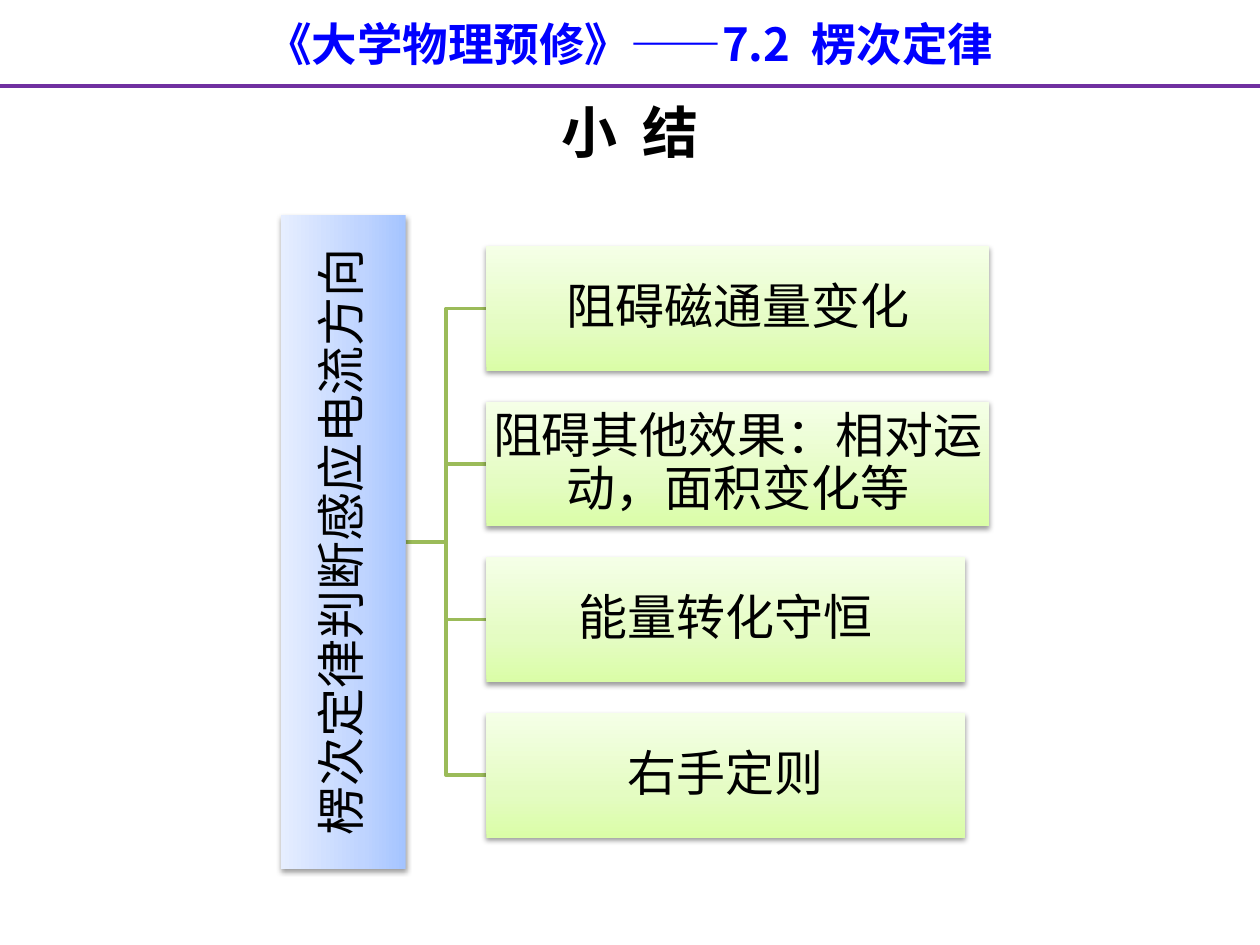
from copy import deepcopy
from dataclasses import dataclass

import pptx
import pptx.dml.color
import pptx.enum.shapes
import pptx.enum.text
import pptx.oxml.ns
import pptx.util
from lxml import etree

Inches = pptx.util.Inches
Pt = pptx.util.Pt
qn = pptx.oxml.ns.qn

FONT = "Noto Sans CJK SC"
BLUE_STOPS = ((0, "A4C4FF"), (35, "BFD4FF"), (100, "E6EEFF"))
GREEN_STOPS = ((0, "DAFDA7"), (35, "E4FCC2"), (100, "F5FFE7"))
BRANCH_COLOR = "9BBB59"

# Tree layout in inches
CENTER_Y = 4.3
NODE_HEIGHT = 0.99
NODE_PITCH = 1.235
NODE_LEFT = 3.86
TRUNK_LEFT, TRUNK_X = 3.22, 3.54
ROOT_LENGTH, ROOT_CENTER_X = 5.19, 2.725


@dataclass
class Node:
    text: str
    left: float
    center_y: float
    width: float
    stops: tuple
    rotation: float = 0


def rgb(value: str) -> pptx.dml.color.RGBColor:
    return pptx.dml.color.RGBColor.from_string(value)


def write(frame, text: str, size: float, color: str = "000000",
          bold: bool = False, margin: float | None = None, line_spacing: float = 1.0,
          anchor=pptx.enum.text.MSO_ANCHOR.MIDDLE) -> None:
    frame_format = {"word_wrap": True, "vertical_anchor": anchor}
    if margin is not None:
        sides = ("left", "top", "right", "bottom")
        frame_format.update({f"margin_{side}": Inches(margin) for side in sides})
    for name, value in frame_format.items():
        setattr(frame, name, value)

    paragraph = frame.paragraphs[0]
    paragraph.alignment = pptx.enum.text.PP_ALIGN.CENTER
    paragraph.line_spacing = line_spacing
    run = paragraph.add_run()
    run.text = text
    for name, value in {"size": Pt(size), "bold": bold, "name": FONT}.items():
        setattr(run.font, name, value)
    run.font.color.rgb = rgb(color)
    # East Asian glyphs take their own typeface element
    etree.SubElement(run.font._element, qn("a:ea"), typeface=FONT)


def add_heading(slide, text: str, left: float, top: float, width: float,
                height: float, **text_format) -> None:
    box = slide.shapes.add_textbox(Inches(left), Inches(top), Inches(width), Inches(height))
    write(box.text_frame, text, **text_format)


def fill_gradient(shape, stops: tuple) -> None:
    shape.fill.gradient()
    shape.fill.gradient_angle = 90
    stop_list = shape._element.spPr.find(".//" + qn("a:gsLst"))
    stop_list.append(deepcopy(stop_list[0]))
    for stop, (position, color) in zip(shape.fill.gradient_stops, stops):
        stop.position = position / 100
        stop.color.rgb = rgb(color)


def add_soft_shadow(shape) -> None:
    shape.shadow.inherit = False
    effects = shape._element.spPr.find(qn("a:effectLst"))
    shadow = etree.SubElement(effects, qn("a:outerShdw"), blurRad=str(Pt(3.1)),
                              dist=str(Pt(1.6)), dir="5400000", rotWithShape="0")
    color = etree.SubElement(shadow, qn("a:srgbClr"), val="000000")
    etree.SubElement(color, qn("a:alpha"), val="38000")


def add_node(slide, node: Node) -> None:
    shape = slide.shapes.add_shape(
        pptx.enum.shapes.MSO_SHAPE.RECTANGLE, Inches(node.left),
        Inches(node.center_y - NODE_HEIGHT / 2), Inches(node.width), Inches(NODE_HEIGHT))
    shape.rotation = node.rotation
    fill_gradient(shape, node.stops)
    shape.line.fill.background()
    add_soft_shadow(shape)
    write(shape.text_frame, node.text, size=28, margin=0.02, line_spacing=0.9)


def add_branch(slide, end_y: float) -> None:
    builder = slide.shapes.build_freeform(Inches(TRUNK_LEFT), Inches(CENTER_Y))
    corners = ((TRUNK_X, CENTER_Y), (TRUNK_X, end_y), (NODE_LEFT, end_y))
    builder.add_line_segments([(Inches(x), Inches(y)) for x, y in corners], close=False)
    branch = builder.convert_to_shape()
    branch.fill.background()
    branch.line.color.rgb = rgb(BRANCH_COLOR)
    branch.line.width = Pt(2)
    branch.shadow.inherit = False


def main() -> None:
    deck = pptx.Presentation()
    deck.slide_width, deck.slide_height = Inches(10), Inches(7.5)
    slide = deck.slides.add_slide(deck.slide_layouts[6])

    # Course header and rule
    add_heading(slide, "《大学物理预修》——7.2  楞次定律", 0, 0.08, 10, 0.54, size=26,
                color="0000FF", bold=True, anchor=pptx.enum.text.MSO_ANCHOR.TOP)
    rule = slide.shapes.add_connector(pptx.enum.shapes.MSO_CONNECTOR.STRAIGHT,
                                      0, Inches(0.68), Inches(10), Inches(0.68))
    rule.line.color.rgb = rgb("7030A0")
    rule.line.width = Pt(2.25)
    etree.SubElement(rule._element.spPr, qn("a:effectLst"))

    # Title
    add_heading(slide, "小  结", 0.5, 0.69, 9, 0.7, size=32, bold=True)

    # Summary tree
    root = Node("楞次定律判断感应电流方向", ROOT_CENTER_X - ROOT_LENGTH / 2, CENTER_Y,
                ROOT_LENGTH, BLUE_STOPS, 270)
    points = (("阻碍磁通量变化", 3.99), ("阻碍其他效果：相对运动，面积变化等", 3.99),
              ("能量转化守恒", 3.8), ("右手定则", 3.8))
    middle = (len(points) - 1) / 2
    leaves = [Node(text, NODE_LEFT, CENTER_Y + (i - middle) * NODE_PITCH, width, GREEN_STOPS)
              for i, (text, width) in enumerate(points)]
    for leaf in leaves:
        add_branch(slide, leaf.center_y)
    for node in (root, *leaves):
        add_node(slide, node)

    deck.save("out.pptx")


if __name__ == "__main__":
    main()
